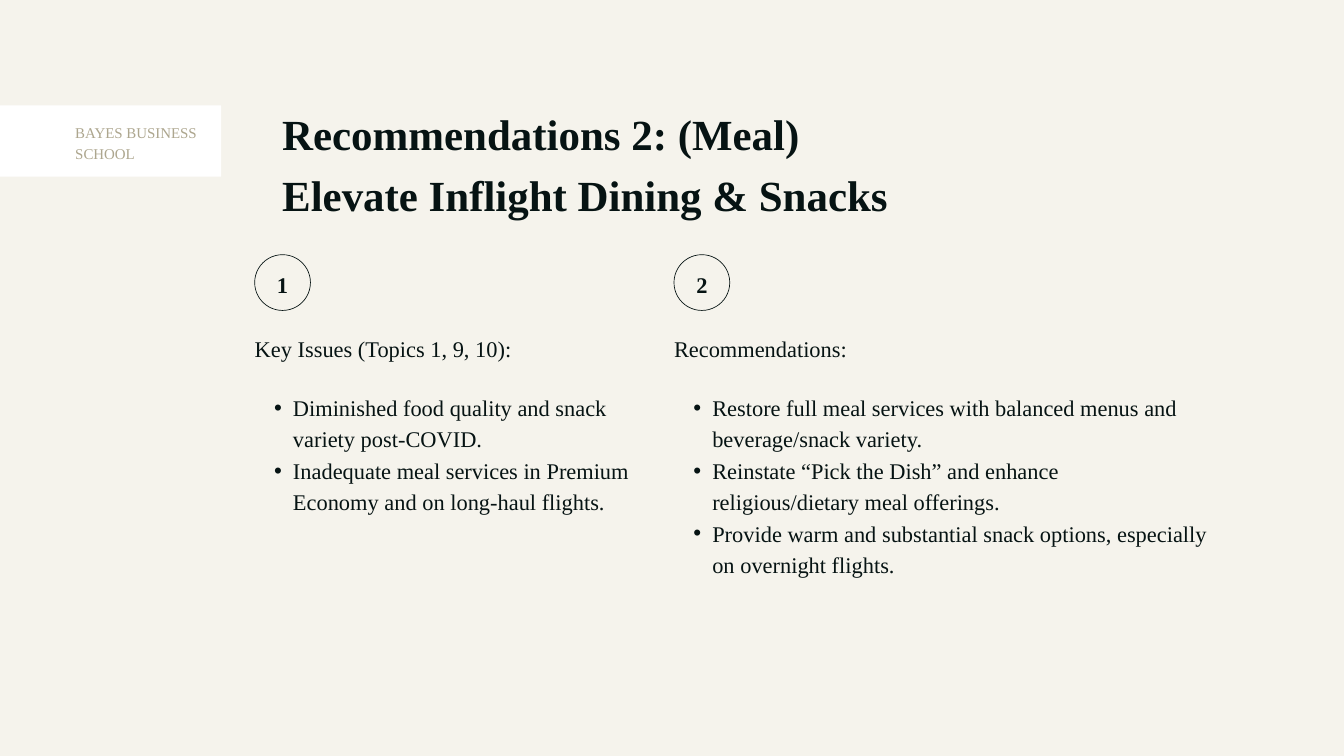
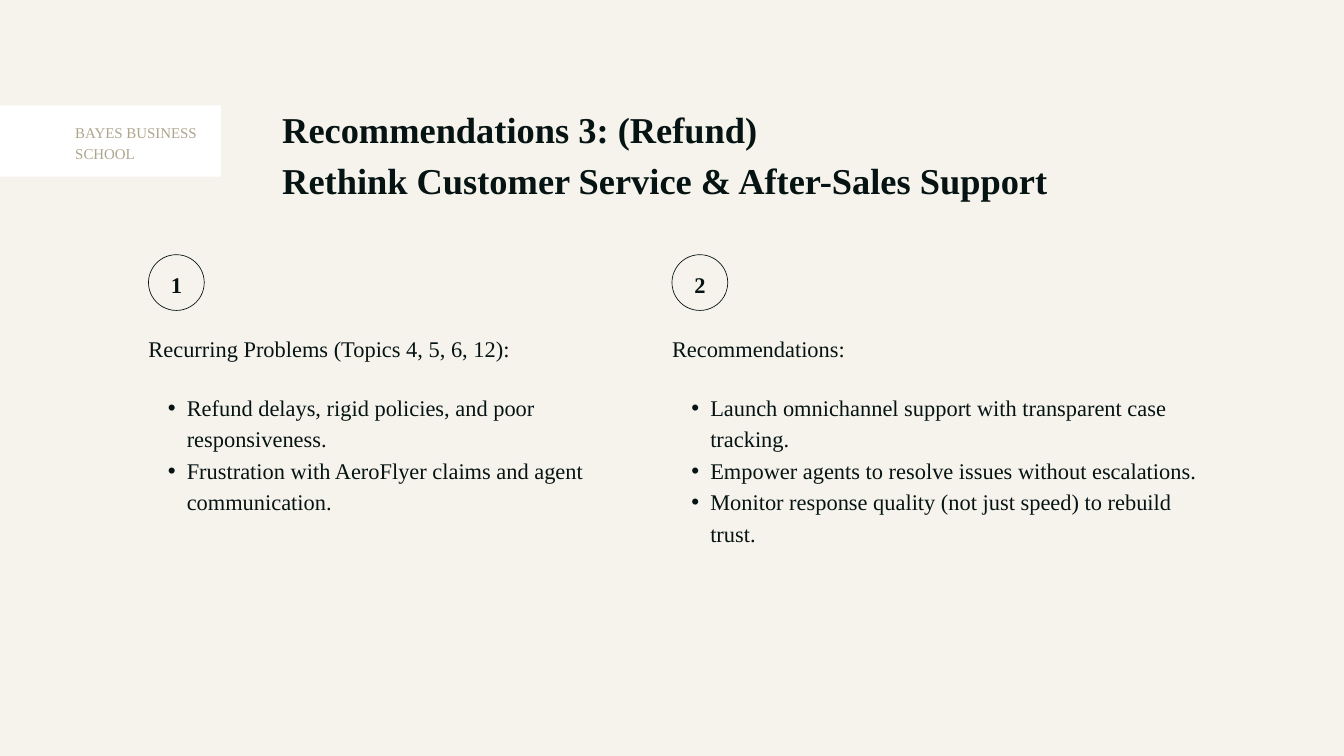
from lxml.etree import SubElement
from pptx import Presentation
from pptx.dml.color import RGBColor
from pptx.enum.shapes import MSO_SHAPE
from pptx.enum.text import PP_ALIGN
from pptx.oxml.ns import qn
from pptx.util import Inches, Pt

# Content: each column is (left, heading width, list width, list height, heading, points)
SLIDES = [
    {
        "title": ["Recommendations 2: (Meal)", "Elevate Inflight Dining & Snacks"],
        "title_size": 46,
        "title_box": (4.2, 1.48, 13.25, 1.74),
        "columns": [
            (3.79, 5.05, 5.83, 3.18, "Key Issues (Topics 1, 9, 10):", [
                "Diminished food quality and snack variety post-COVID.",
                "Inadequate meal services in Premium Economy and on long-haul flights.",
            ]),
            (10.03, 4.21, 7.94, 3.18, "Recommendations:", [
                "Restore full meal services with balanced menus and beverage/snack variety.",
                "Reinstate “Pick the Dish” and enhance religious/dietary meal offerings.",
                "Provide warm and substantial snack options, especially on overnight flights.",
            ]),
        ],
    },
    {
        "title": ["Recommendations 3: (Refund)",
                  "Rethink Customer Service & After-Sales Support"],
        "title_size": 39,
        "title_box": (4.2, 1.49, 14.39, 1.47),
        "columns": [
            (2.21, 6.94, 6.94, 2.27, "Recurring Problems (Topics 4, 5, 6, 12):", [
                "Refund delays, rigid policies, and poor responsiveness.",
                "Frustration with AeroFlyer claims and agent communication.",
            ]),
            (10, 4.21, 7.94, 3.18, "Recommendations:", [
                "Launch omnichannel support with transparent case tracking.",
                "Empower agents to resolve issues without escalations.",
                "Monitor response quality (not just speed) to rebuild trust.",
            ]),
        ],
    },
]
SCHOOL = "BAYES BUSINESS SCHOOL"

# Shared style
FONT = "Times New Roman"
CREAM, WHITE, INK, SAND = "F5F3EC", "FFFFFF", "061313", "ADA68E"
LINE_FACTOR = 1.4
BADGE = 0.83
LINE_HEIGHT = 0.43
BADGE_TOP, NUMBER_TOP, HEADING_TOP, LIST_TOP = 3.79, 3.97, 4.92, 5.8


def color(hex_string):
    return RGBColor.from_string(hex_string)


def add_bullet(paragraph):
    paragraph.level = 1
    properties = paragraph._p.get_or_add_pPr()
    properties.set("marL", str(Inches(0.57)))
    properties.set("indent", str(Inches(-0.28)))
    SubElement(properties, qn("a:buFont"), typeface="Arial")
    SubElement(properties, qn("a:buChar"), char="•")


def add_text(slide, lines, box, size=24, ink=INK, bold=False,
             align=PP_ALIGN.LEFT, bullets=False):
    frame = slide.shapes.add_textbox(*map(Inches, box)).text_frame
    frame.word_wrap = True
    frame.margin_left = frame.margin_right = frame.margin_top = frame.margin_bottom = 0
    for index, line in enumerate(lines):
        paragraph = frame.paragraphs[0] if index == 0 else frame.add_paragraph()
        if bullets:
            add_bullet(paragraph)
        paragraph.alignment = align
        paragraph.line_spacing = Pt(size * LINE_FACTOR)
        run = paragraph.add_run()
        run.text = line
        run.font.name = FONT
        run.font.size = Pt(size)
        run.font.bold = bold
        run.font.color.rgb = color(ink)


def add_shape(slide, kind, box, fill=None, line=None):
    shape = slide.shapes.add_shape(kind, *map(Inches, box))
    shape.shadow.inherit = False
    if fill:
        shape.fill.solid()
        shape.fill.fore_color.rgb = color(fill)
    else:
        shape.fill.background()
    if line:
        shape.line.color.rgb = color(line)
        shape.line.width = Pt(0.75)
    else:
        shape.line.fill.background()


def add_column(slide, number, left, heading_width, list_width, list_height, heading, points):
    add_shape(slide, MSO_SHAPE.OVAL, (left, BADGE_TOP, BADGE, BADGE), line=INK)
    add_text(slide, [str(number)], (left, NUMBER_TOP, BADGE, LINE_HEIGHT),
             bold=True, align=PP_ALIGN.CENTER)
    add_text(slide, [heading], (left, HEADING_TOP, heading_width, LINE_HEIGHT))
    add_text(slide, points, (left, LIST_TOP, list_width, list_height), bullets=True)


def add_slide(presentation, content):
    slide = presentation.slides.add_slide(presentation.slide_layouts[6])
    slide.background.fill.solid()
    slide.background.fill.fore_color.rgb = color(CREAM)
    # School band and title
    add_shape(slide, MSO_SHAPE.RECTANGLE, (0, 1.57, 3.29, 1.06), fill=WHITE)
    add_text(slide, [SCHOOL], (1.12, 1.79, 2.17, 0.59), size=16, ink=SAND)
    add_text(slide, content["title"], content["title_box"],
             size=content["title_size"], bold=True)
    # Numbered columns
    for number, column in enumerate(content["columns"], start=1):
        add_column(slide, number, *column)


def main():
    presentation = Presentation()
    presentation.slide_width = Inches(20)
    presentation.slide_height = Inches(11.25)
    for content in SLIDES:
        add_slide(presentation, content)
    presentation.save("out.pptx")


if __name__ == "__main__":
    main()
